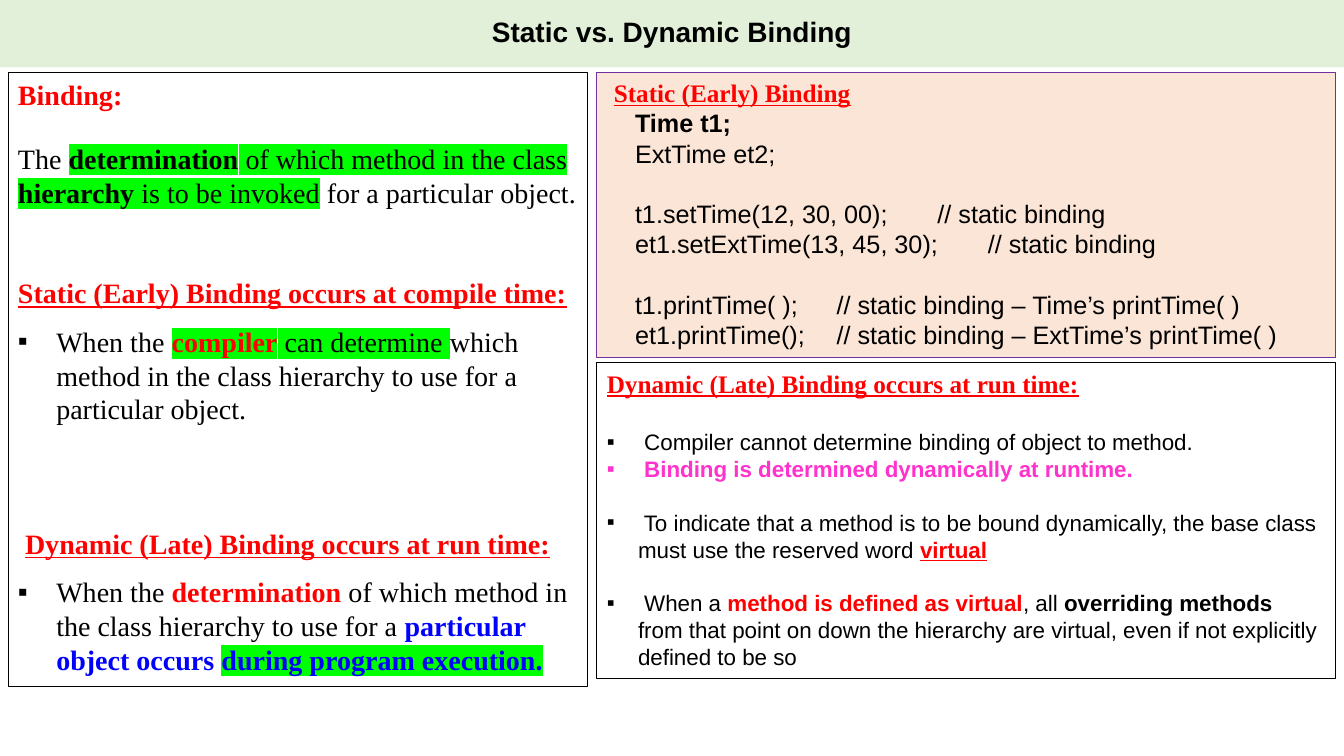
"""Builds the slide on static and dynamic binding."""
from dataclasses import dataclass, field

from lxml.etree import SubElement as Sub
from pptx import Presentation
from pptx.dml.color import RGBColor as Rgb
from pptx.enum.shapes import MSO_SHAPE as Preset
from pptx.enum.text import MSO_ANCHOR as Anchor, MSO_AUTO_SIZE as AutoSize, PP_ALIGN as Align
from pptx.oxml.ns import qn
from pptx.util import Inches, Pt


@dataclass(frozen=True)
class Theme:
    """Colours, fonts, type sizes and run styles."""
    black: str = "000000"
    red: str = "FF0000"
    blue: str = "0000FF"
    pink: str = "FF33CC"
    marker: str = "00FF00"
    banner: str = "E2F0D9"
    peach: str = "FBE5D6"
    purple: str = "7030A0"
    sans: str = "Arial"
    serif: str = "Times New Roman"
    large: int = 20
    medium: int = 18
    small: int = 16
    border: float = 0.75

    def run_style(self, name):
        """Return colour, font formats and marker for a run style."""
        kind, _, marked = name.partition("+")
        color, bold, underline = {
            "plain": (self.black, False, False),
            "bold": (self.black, True, False),
            "key": (self.red, True, False),
            "heading": (self.red, True, True),
            "blue": (self.blue, True, False),
            "pink": (self.pink, True, False),
        }[kind]
        return color, {"bold": bold, "underline": underline}, bool(marked)


@dataclass
class Para:
    """One paragraph: its runs and its layout, lengths in inches and gaps in points."""
    runs: list
    font: str
    size: int
    before: float = 0
    indent: float = 0
    bullet: bool = False
    tab: float = 0
    format: dict = field(default_factory=dict)


class BindingSlide:
    """Holds the theme and the current slide."""

    def __init__(self, deck, theme):
        """Add a blank slide to the deck."""
        self.theme = theme
        self.slide = deck.slides.add_slide(deck.slide_layouts[6])

    def panel(self, box, paras, fill=None, line=None, anchor=Anchor.TOP, grow=True):
        """Draw a rectangle filled with paragraphs."""
        panel = self.slide.shapes.add_shape(Preset.RECTANGLE, *map(Inches, box))
        panel.shadow.inherit = False
        if fill:
            panel.fill.solid()
            panel.fill.fore_color.rgb = Rgb.from_string(fill)
        else:
            panel.fill.background()
        if line:
            panel.line.color.rgb = Rgb.from_string(line)
            panel.line.width = Pt(self.theme.border)
        else:
            panel.line.fill.background()
        frame = panel.text_frame
        formats = {
            "word_wrap": True,
            "vertical_anchor": anchor,
            "auto_size": AutoSize.SHAPE_TO_FIT_TEXT if grow else AutoSize.NONE,
        }
        for name, value in formats.items():
            setattr(frame, name, value)
        for index, para in enumerate(paras):
            self.paragraph(frame.add_paragraph() if index else frame.paragraphs[0], para)

    def paragraph(self, target, para):
        """Write one paragraph with its indent, bullet and tab stop."""
        formats = {"alignment": Align.LEFT, "space_before": Pt(para.before), **para.format}
        for name, value in formats.items():
            setattr(target, name, value)
        props = target._p.get_or_add_pPr()
        props.set("marL", str(Inches(para.indent)))
        props.set("indent", str(-Inches(para.indent) if para.bullet else 0))
        if para.bullet:
            Sub(props, qn("a:buFont"), typeface=self.theme.sans)
            Sub(props, qn("a:buChar"), char="▪")
        if para.tab:
            tabs = Sub(props, qn("a:tabLst"))
            Sub(tabs, qn("a:tab"), pos=str(Inches(para.tab)), algn="l")
        for text, style in para.runs:
            if text == "\n":
                target.add_line_break()
            else:
                self.run(target.add_run(), text, style, para)

    def run(self, target, text, style, para):
        """Write one run in a named style."""
        target.text = text
        color, formats, marked = self.theme.run_style(style)
        formats.update(name=para.font, size=Pt(para.size))
        for name, value in formats.items():
            setattr(target.font, name, value)
        target.font.color.rgb = Rgb.from_string(color)
        if marked:
            props = target._r.get_or_add_rPr()
            highlight = Sub(props, qn("a:highlight"))
            Sub(highlight, qn("a:srgbClr"), val=self.theme.marker)
            props.find(qn("a:solidFill")).addnext(highlight)


def main():
    """Build and save the deck."""
    theme = Theme()
    deck = Presentation()
    deck.slide_width, deck.slide_height = Inches(13.33), Inches(7.5)
    page = BindingSlide(deck, theme)

    def note(*runs, **layout):
        return Para(runs, theme.serif, theme.large, **layout)

    def heading(text, **layout):
        return Para([(text, "heading")], theme.serif, theme.medium, **layout)

    def code(text, style="plain", **layout):
        return Para([(text, style)], theme.sans, theme.medium, indent=0.28, **layout)

    def point(*runs, before=19.2):
        return Para(runs, theme.sans, theme.small, before, indent=0.31, bullet=True)

    late = "Dynamic (Late) Binding occurs at run time:"
    hanging = {"before": 10.8, "indent": 0.38, "bullet": True}

    title = Para([("Static vs. Dynamic Binding", "bold")], theme.sans, theme.large,
                 format={"alignment": Align.CENTER, "line_spacing": 0.9})
    page.panel((0, 0, 13.33, 0.67), [title], fill=theme.banner, anchor=Anchor.MIDDLE, grow=False)

    page.panel((0.08, 0.72, 5.75, 6.09), [
        note(("Binding:", "key")),
        note(("The ", "plain"), ("determination", "bold+marked"),
             (" of which method in the class", "plain+marked"), before=21.6),
        note(("hierarchy", "bold+marked"), (" is to be invoked", "plain+marked"),
             (" for a particular object.", "plain")),
        note(("Static (Early) Binding occurs at compile time:", "heading"), before=48),
        note(("When the ", "plain"), ("compiler", "key+marked"),
             (" can determine ", "plain+marked"),
             ("which method in the class hierarchy to use for a particular object.", "plain"),
             **hanging),
        note((" ", "key"), (late, "heading"), before=72),
        note(("When the ", "plain"), ("determination", "key"),
             (" of which method in the class hierarchy to use for a ", "plain"),
             ("particular object occurs ", "blue"),
             ("during program execution.", "blue+marked"), **hanging),
    ], line=theme.black)

    page.panel((5.92, 0.72, 7.33, 2.83), [
        heading("Static (Early) Binding", indent=0.07),
        code("Time t1;", "bold"),
        code("ExtTime et2;"),
        code("t1.setTime(12, 30, 00);\t// static binding", before=21.6, tab=3.61),
        code("et1.setExtTime(13, 45, 30);\t// static binding", tab=3.55),
        code("t1.printTime( );\t// static binding – Time’s printTime( )", before=21.6, tab=2.51),
        code("et1.printTime();\t// static binding – ExtTime’s printTime( )", tab=2.51),
    ], fill=theme.peach, line=theme.purple)

    page.panel((5.92, 3.6, 7.33, 3.13), [
        heading(late),
        point((" Compiler cannot determine binding of object to method.", "plain"), before=21.6),
        point((" Binding is determined dynamically at runtime.", "pink"), before=0),
        point((" To indicate that a method is to be bound dynamically, the base class "
               "must use the reserved word ", "plain"), ("virtual", "heading")),
        point((" When a ", "plain"), ("method is defined as virtual", "key"),
              (", all ", "plain"), ("overriding methods", "bold"), ("\n", "plain"),
              ("from that point on down the hierarchy are virtual, "
               "even if not explicitly defined to be so", "plain")),
    ], line=theme.black)

    deck.save("out.pptx")


if __name__ == "__main__":
    main()
